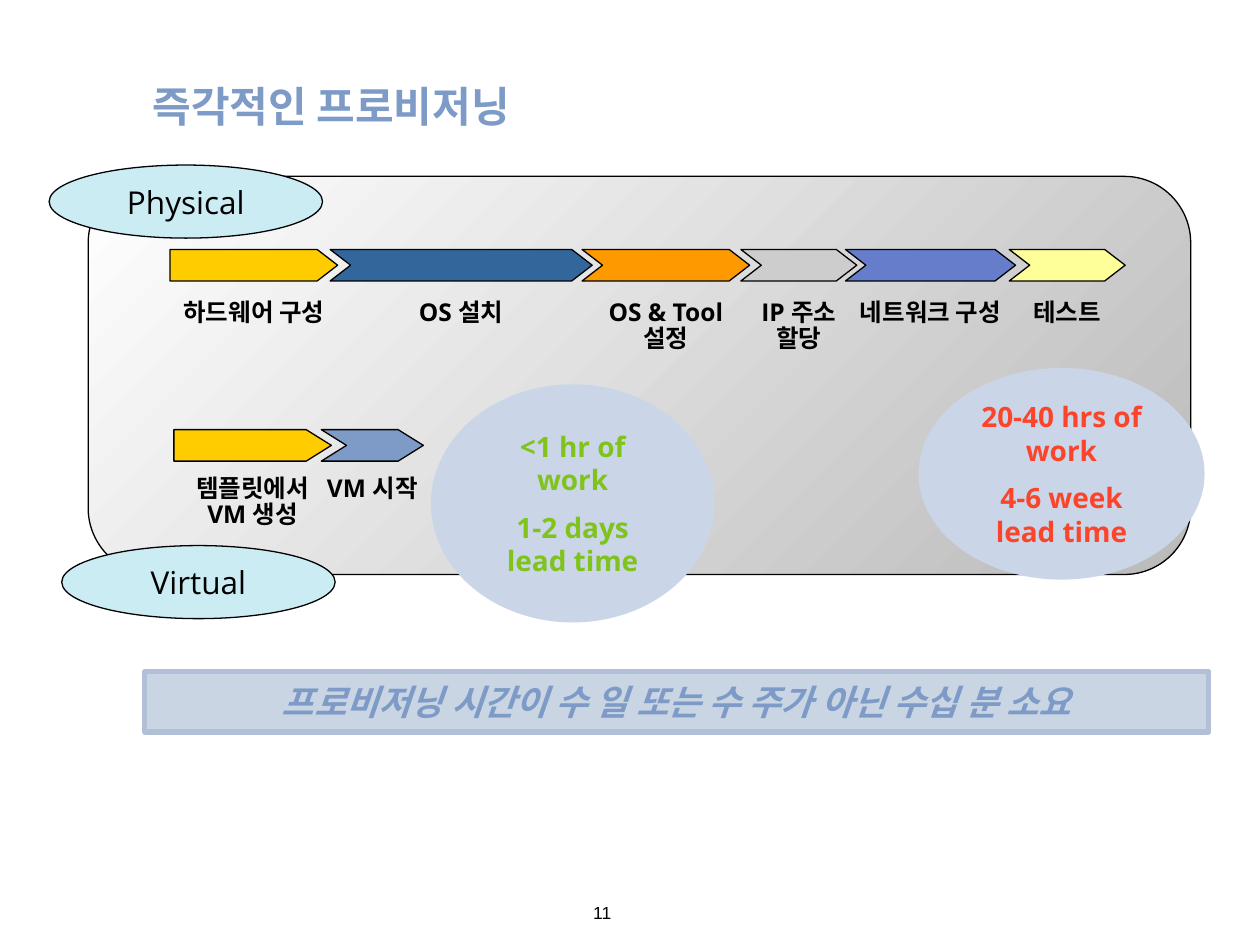
"""Build a slide comparing physical and virtual provisioning."""
from lxml.etree import SubElement
from pptx import Presentation
from pptx.dml.color import RGBColor
from pptx.enum.shapes import MSO_SHAPE as SHAPE
from pptx.enum.text import MSO_ANCHOR as ANCHOR, PP_ALIGN as ALIGN
from pptx.oxml.ns import qn
from pptx.util import Inches, Pt

BLACK = RGBColor(0x00, 0x00, 0x00)
WHITE = RGBColor(0xFF, 0xFF, 0xFF)
SILVER = RGBColor(0xBA, 0xBA, 0xBA)
STEEL = RGBColor(0x7D, 0x9B, 0xC6)
GOLD = RGBColor(0xFF, 0xCC, 0x00)
NAVY = RGBColor(0x33, 0x67, 0x9B)
ORANGE = RGBColor(0xFF, 0x99, 0x00)
GRAY = RGBColor(0xCD, 0xCD, 0xCD)
INDIGO = RGBColor(0x66, 0x7D, 0xCC)
LEMON = RGBColor(0xFF, 0xFF, 0x99)
AQUA = RGBColor(0xCC, 0xEC, 0xF4)
MIST = RGBColor(0xCA, 0xD6, 0xE8)
BANNER_FILL = RGBColor(0xCA, 0xD5, 0xE4)
BANNER_EDGE = RGBColor(0xB1, 0xC0, 0xD7)
GREEN = RGBColor(0x7F, 0xC3, 0x1C)
RED = RGBColor(0xFC, 0x44, 0x2B)

KOREAN = "Noto Sans CJK KR"
TITLE = "즉각적인 프로비저닝"
BANNER = "프로비저닝 시간이 수 일 또는 수 주가 아닌 수십 분 소요"
PAGE = "11"
ARROW_HEIGHT = 0.25

PROCESSES = [
    {"top": 1.98, "label_top": 2.34, "point": 0.65, "stages": [
        ("하드웨어 구성", 1.35, 1.33, 1.58, GOLD),
        ("OS 설치", 2.62, 2.08, 0.92, NAVY),
        ("OS & Tool 설정", 4.62, 1.33, 1.43, ORANGE),
        ("IP 주소 할당", 5.88, 0.92, 1.00, GRAY),
        ("네트워크 구성", 6.71, 1.35, 1.38, INDIGO),
        ("테스트", 8.01, 0.92, 1.38, LEMON)]},
    {"top": 3.41, "label_top": 3.74, "point": 0.8, "stages": [
        ("템플릿에서 VM 생성", 1.38, 1.25, 1.22, GOLD),
        ("VM 시작", 2.55, 0.81, 1.49, STEEL)]},
]
KINDS = [("Physical", 0.39, 1.31), ("Virtual", 0.49, 4.33)]
EFFORTS = [
    (["<1 hr of work", "1-2 days lead time"], (3.42, 3.05, 2.25, 1.89), GREEN),
    (["20-40 hrs of work", "4-6 week lead time"], (7.29, 2.92, 2.27, 1.68), RED),
]


def write(shape, *lines, size, color=BLACK, font="Open Sans", bold=False, italic=False,
          align=ALIGN.CENTER, anchor=ANCHOR.MIDDLE, spacing=None, before=None, wrap=True):
    frame = shape.text_frame
    frame.text = "\n".join(lines)
    frame.word_wrap, frame.vertical_anchor = wrap, anchor
    for paragraph in frame.paragraphs:
        paragraph.alignment = align
        paragraph.line_spacing, paragraph.space_before = spacing, before
        run = paragraph.runs[0]
        run.font.size, run.font.name = Pt(size), font
        run.font.bold, run.font.italic = bold, italic
        run.font.color.rgb = color
        SubElement(run.font._element, qn("a:ea"), typeface=KOREAN)


def draw(slide, kind, box, fill=None, edge=BLACK, weight=0.75):
    shape = slide.shapes.add_shape(kind, *map(Inches, box))
    shape.shadow.inherit = False
    if fill is not None:
        shape.fill.solid()
        shape.fill.fore_color.rgb = fill
    if edge is None:
        shape.line.fill.background()
    else:
        shape.line.color.rgb, shape.line.width = edge, Pt(weight)
    return shape


def add_text(slide, box, text, **style):
    write(slide.shapes.add_textbox(*map(Inches, box)), text, anchor=ANCHOR.TOP, **style)


def add_panel(slide):
    panel = draw(slide, SHAPE.ROUNDED_RECTANGLE, (0.7, 1.4, 8.75, 3.16))
    panel.fill.gradient()
    panel.fill.gradient_angle = 315
    for stop, color in zip(panel.fill.gradient_stops, (WHITE, SILVER)):
        stop.color.rgb = color


def add_title(slide):
    title = slide.shapes.title
    title.left, title.top, title.width, title.height = map(Inches, (1.07, 0.65, 3.37, 0.44))
    write(title, TITLE, size=24, color=STEEL, font=KOREAN, bold=True,
          align=ALIGN.LEFT, spacing=0.85)
    frame = title.text_frame
    frame.margin_left = Inches(0.14)
    frame.margin_right = frame.margin_top = frame.margin_bottom = Inches(0.05)


def add_process(slide, process):
    for index, (label, left, width, label_width, color) in enumerate(process["stages"]):
        kind = SHAPE.CHEVRON if index else SHAPE.PENTAGON
        arrow = draw(slide, kind, (left, process["top"], width, ARROW_HEIGHT), color)
        arrow.adjustments[0] = process["point"]
        label_left = left + (width - label_width) / 2
        add_text(slide, (label_left, process["label_top"], label_width, 0.51), label,
                 size=14, bold=True, spacing=0.87)


def main():
    deck = Presentation()
    deck.slide_width, deck.slide_height = Inches(10), Inches(7.5)
    slide = deck.slides.add_slide(deck.slide_layouts[5])
    add_panel(slide)
    add_title(slide)
    for process in PROCESSES:
        add_process(slide, process)
    for kind, left, top in KINDS:
        oval = draw(slide, SHAPE.OVAL, (left, top, 2.17, 0.58), AQUA)
        write(oval, kind, size=18, wrap=False)
    for lines, box, color in EFFORTS:
        bubble = draw(slide, SHAPE.OVAL, box, MIST, edge=None)
        write(bubble, *lines, size=16, color=color, bold=True, before=Pt(8))
    banner = draw(slide, SHAPE.RECTANGLE, (1.15, 5.33, 8.44, 0.48), BANNER_FILL, BANNER_EDGE, 3)
    write(banner, BANNER, size=20, color=STEEL, bold=True, italic=True)
    add_text(slide, (4.61, 7.11, 2.33, 0.33), PAGE, size=10, font="Arial", align=ALIGN.LEFT)
    deck.save("out.pptx")


if __name__ == "__main__":
    main()
